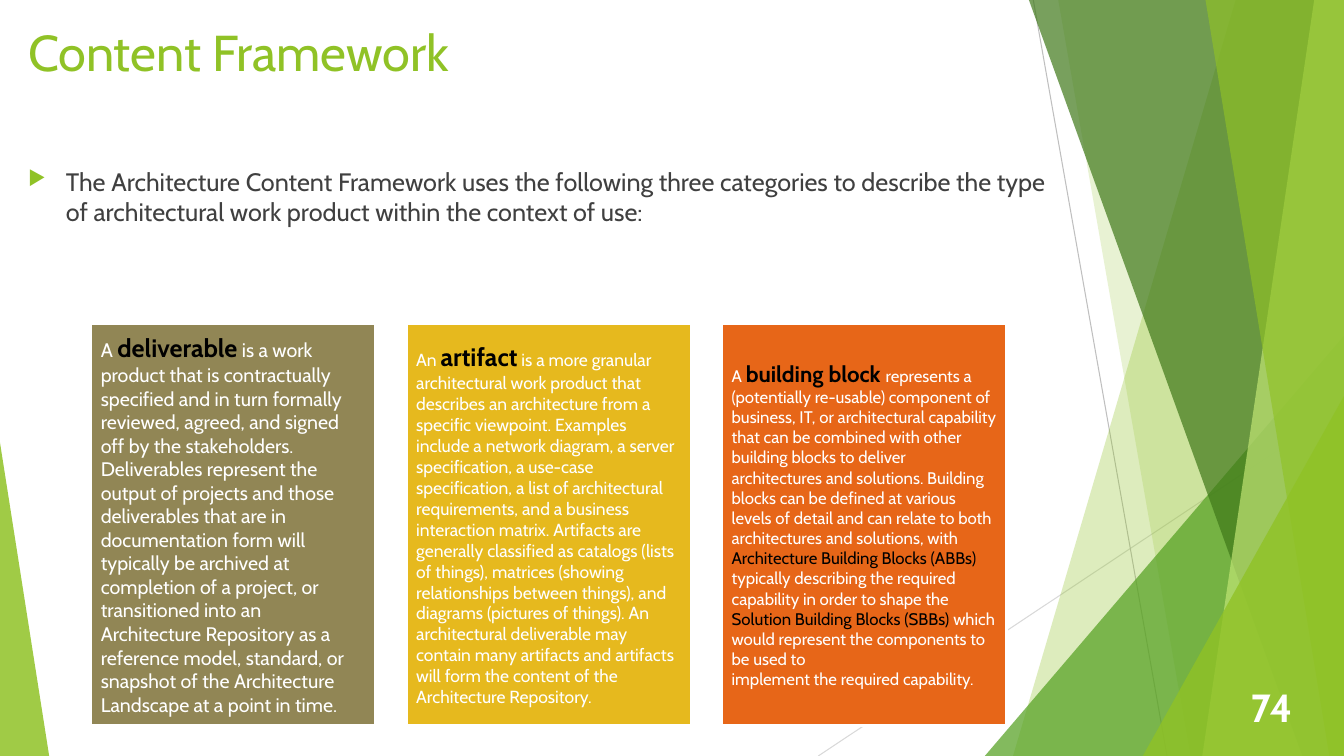
from dataclasses import dataclass

from lxml import etree
from pptx import Presentation
from pptx.dml.color import RGBColor
from pptx.enum import shapes, text
from pptx.oxml import ns
from pptx.util import Cm, Pt


@dataclass(frozen=True)
class Theme:
    font: str = "Cabin"
    green: str = "90C226"
    mid_green: str = "54A021"
    dark_green: str = "3F7819"
    lime: str = "C0E474"
    body: str = "404040"
    white: str = "FFFFFF"
    black: str = "000000"
    olive: str = "918655"
    gold: str = "E6B91E"
    orange: str = "E76618"
    light_line: str = "D9D9D9"
    mid_line: str = "BFBFBF"
    title_size: float = 36
    body_size: float = 18
    number_size: float = 28


THEME = Theme()
WIDTH, HEIGHT = 33.87, 19.05
BOTTOM_RIGHT, TOP_RIGHT = (WIDTH, HEIGHT), (WIDTH, 0)

# Background: lines (start, end, colour), facets (corners, colour, opacity in percent)
LINES = [
    ((20.62, HEIGHT), (WIDTH, 10.24), THEME.light_line),
    ((26.04, 0), (29.41, HEIGHT), THEME.mid_line),
]
FACETS = [
    ([(31.14, 0), (25.53, HEIGHT), BOTTOM_RIGHT, TOP_RIGHT], THEME.green, 30),
    ([(26.67, 0), (30, HEIGHT), BOTTOM_RIGHT, TOP_RIGHT], THEME.green, 20),
    ([(24.82, HEIGHT), (WIDTH, 8.46), BOTTOM_RIGHT], THEME.mid_green, 72),
    ([(25.93, 0), (32.82, HEIGHT), BOTTOM_RIGHT, TOP_RIGHT], THEME.dark_green, 70),
    ([(33.12, 0), (30.3, HEIGHT), BOTTOM_RIGHT, TOP_RIGHT], THEME.lime, 70),
    ([(30.38, 0), (33.5, HEIGHT), BOTTOM_RIGHT, TOP_RIGHT], THEME.green, 65),
    ([(28.8, HEIGHT), (WIDTH, 9.98), BOTTOM_RIGHT], THEME.green, 80),
    ([(0, 11.15), (1.24, HEIGHT), (0, HEIGHT)], THEME.green, 85),
]

# Cards: fill, text size, term size, paragraphs of (text, kind) spans
CARDS = [
    (THEME.olive, 14, 18, [
        [("A ", "plain"), ("deliverable", "term"),
         (" is a work product that is contractually specified and in turn formally "
          "reviewed, agreed, and signed off by the stakeholders.", "plain")],
        [("Deliverables represent the output of projects and those deliverables that "
          "are in documentation form will typically be archived at completion of a "
          "project, or transitioned into an Architecture Repository as a reference "
          "model, standard, or snapshot of the Architecture Landscape at a point in "
          "time.", "plain")],
    ]),
    (THEME.gold, 12.5, 18, [
        [("An ", "plain"), ("artifact", "term"),
         (" is a more granular architectural work product that describes an "
          "architecture from a specific viewpoint. Examples include a network diagram, "
          "a server specification, a use-case specification, a list of architectural "
          "requirements, and a business interaction matrix. Artifacts are generally "
          "classified as catalogs (lists of things), matrices (showing relationships "
          "between things), and diagrams (pictures of things). An architectural "
          "deliverable may contain many artifacts and artifacts will form the content "
          "of the Architecture Repository.", "plain")],
    ]),
    (THEME.orange, 12, 16, [
        [("A ", "plain"), ("building block ", "term"),
         ("represents a (potentially re-usable) component of business, IT, or "
          "architectural capability that can be combined with other building blocks to "
          "deliver architectures and solutions. Building blocks can be defined at "
          "various levels of detail and can relate to both architectures and "
          "solutions, with ", "plain"),
         ("Architecture Building Blocks (ABBs)", "dark")],
        [("typically describing the required capability in order to shape the ", "plain"),
         ("Solution Building Blocks (SBBs) ", "dark"),
         ("which would represent the components to be used to", "plain")],
        [("implement the required capability.", "plain")],
    ]),
]


def rgb(colour):
    return RGBColor.from_string(colour)


def style(font, size, colour, bold=False):
    font.name = THEME.font
    font.size = Pt(size)
    font.color.rgb = rgb(colour)
    font.bold = bold


def add_line(page, start, end, colour):
    line = page.shapes.add_connector(
        shapes.MSO_CONNECTOR.STRAIGHT, *(Cm(value) for value in start + end))
    line.line.color.rgb = rgb(colour)
    line.line.width = Pt(0.75)
    etree.SubElement(line._element.spPr, ns.qn("a:effectLst"))


def add_facet(page, corners, colour, opacity):
    points = [(Cm(x), Cm(y)) for x, y in corners]
    builder = page.shapes.build_freeform(*points[0])
    builder.add_line_segments(points[1:], close=True)
    facet = builder.convert_to_shape()
    facet.shadow.inherit = False
    facet.line.fill.background()
    facet.fill.solid()
    facet.fill.fore_color.rgb = rgb(colour)
    tint = facet._element.spPr.find(".//" + ns.qn("a:srgbClr"))
    etree.SubElement(tint, ns.qn("a:alpha"), val=str(opacity * 1000))


def add_text(page, place, words, size, colour, bold=False):
    box = page.shapes.add_textbox(*(Cm(value) for value in place))
    frame = box.text_frame
    frame.word_wrap = True
    frame.text = words
    style(frame.paragraphs[0].runs[0].font, size, colour, bold)
    return frame


def add_bullet(para, mark, colour, percent):
    props = para._p.get_or_add_pPr()
    props.set("marL", str(Cm(0.95)))
    props.set("indent", str(-Cm(0.95)))
    bullet_colour = etree.SubElement(props, ns.qn("a:buClr"))
    etree.SubElement(bullet_colour, ns.qn("a:srgbClr"), val=colour)
    etree.SubElement(props, ns.qn("a:buSzPct"), val=str(percent * 1000))
    etree.SubElement(props, ns.qn("a:buChar"), char=mark)


def add_card(page, place, fill, size, term_size, paragraphs):
    card = page.shapes.add_shape(
        shapes.MSO_SHAPE.RECTANGLE, *(Cm(value) for value in place))
    card.shadow.inherit = False
    card.fill.solid()
    card.fill.fore_color.rgb = rgb(fill)
    card.line.color.rgb = rgb(THEME.white)
    card.line.width = Pt(2)
    frame = card.text_frame
    frame.word_wrap = True
    frame.vertical_anchor = text.MSO_ANCHOR.MIDDLE
    looks = {
        "plain": (size, THEME.white),
        "term": (term_size, THEME.black, True),
        "dark": (size, THEME.black),
    }
    for index, spans in enumerate(paragraphs):
        para = frame.add_paragraph() if index else frame.paragraphs[0]
        para.alignment = text.PP_ALIGN.LEFT
        for words, kind in spans:
            span = para.add_run()
            span.text = words
            style(span.font, *looks[kind])


def main():
    deck = Presentation()
    deck.slide_width, deck.slide_height = Cm(WIDTH), Cm(HEIGHT)
    page = deck.slides.add_slide(deck.slide_layouts[6])

    # Background
    for line in LINES:
        add_line(page, *line)
    for facet in FACETS:
        add_facet(page, *facet)

    # Title, introduction and page number
    add_text(page, (0.46, 0.41, 23.88, 3.66), "Content Framework",
             THEME.title_size, THEME.green)
    intro = add_text(
        page, (0.46, 4.06, 26.77, 2.2),
        "The Architecture Content Framework uses the following three categories to "
        "describe the type of architectural work product within the context of use:",
        THEME.body_size, THEME.body)
    add_bullet(intro.paragraphs[0], "▶", THEME.green, 80)
    number = add_text(page, (30.91, 17.3, 1.91, 1.02), "74",
                      THEME.number_size, THEME.white, bold=True)
    number.vertical_anchor = text.MSO_ANCHOR.MIDDLE
    number.paragraphs[0].alignment = text.PP_ALIGN.RIGHT

    # Three categories
    left, pitch = 2.29, 7.95
    for column, card in enumerate(CARDS):
        add_card(page, (left + column * pitch, 8.15, 7.18, 10.13), *card)

    deck.save("out.pptx")


if __name__ == "__main__":
    main()
